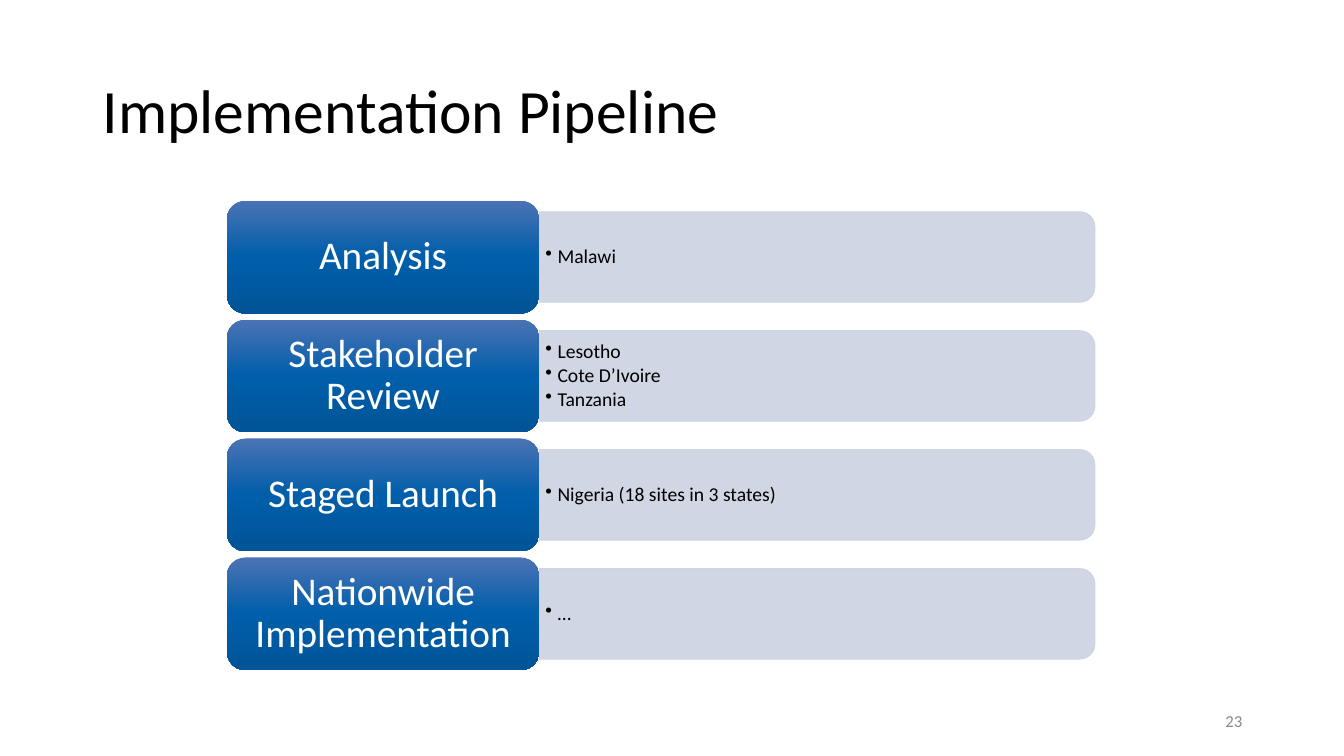
from copy import deepcopy
from dataclasses import dataclass

from lxml.etree import SubElement
from pptx import Presentation
from pptx.dml.color import RGBColor
from pptx.enum.shapes import MSO_SHAPE
from pptx.enum.text import MSO_ANCHOR, MSO_AUTO_SIZE, PP_ALIGN
from pptx.oxml.ns import qn
from pptx.util import Inches, Pt


@dataclass(frozen=True)
class Theme:
    font: str = "Calibri"
    ink: str = "000000"
    muted: str = "898989"
    label_ink: str = "FFFFFF"
    panel: str = "CCD2E2"
    panel_opacity: int = 90
    label_gradient: tuple = ((0, "4B73B4"), (0.5, "005EAA"), (1, "005497"))
    title_size: int = 44
    label_size: int = 28
    body_size: int = 14
    footer_size: int = 12


@dataclass(frozen=True)
class Box:
    left: float
    top: float
    width: float
    height: float

    def lengths(self):
        return [Inches(n) for n in (self.left, self.top, self.width, self.height)]


THEME = Theme()
STAGES = (
    ("Analysis", ("Malawi",)),
    ("Stakeholder Review", ("Lesotho", "Cote D’Ivoire", "Tanzania")),
    ("Staged Launch", ("Nigeria (18 sites in 3 states)",)),
    ("Nationwide Implementation", ("…",)),
)


def prepare_frame(frame, horizontal=0.1, vertical=0.05):
    frame.word_wrap = True
    frame.auto_size = MSO_AUTO_SIZE.NONE
    frame.vertical_anchor = MSO_ANCHOR.MIDDLE
    frame.margin_left = frame.margin_right = Inches(horizontal)
    frame.margin_top = frame.margin_bottom = Inches(vertical)


def write_lines(frame, lines, size, color, alignment=PP_ALIGN.LEFT, spacing=0.9, after=0):
    for index, line in enumerate(lines):
        paragraph = frame.add_paragraph() if index else frame.paragraphs[0]
        paragraph.alignment = alignment
        paragraph.line_spacing = spacing
        paragraph.space_after = Pt(after)
        run = paragraph.add_run()
        run.text = line
        run.font.name = THEME.font
        run.font.size = Pt(size)
        run.font.color.rgb = RGBColor.from_string(color)


def add_bullets(frame):
    for paragraph in frame.paragraphs:
        paragraph.level = 1
        properties = paragraph._p.get_or_add_pPr()
        properties.set("marL", str(Inches(0.12)))
        properties.set("indent", str(Inches(-0.12)))
        SubElement(properties, qn("a:buChar")).set("char", "•")


def fill_gradient(shape):
    fill = shape.fill
    fill.gradient()
    fill.gradient_angle = 270
    stop_list = shape._element.spPr.find(qn("a:gradFill")).find(qn("a:gsLst"))
    stop_list.insert(1, deepcopy(stop_list[0]))
    for stop, (position, color) in zip(fill.gradient_stops, THEME.label_gradient):
        stop.position = position
        stop.color.rgb = RGBColor.from_string(color)


def add_title(slide, box, text):
    title = slide.shapes.title
    title.left, title.top, title.width, title.height = box.lengths()
    prepare_frame(title.text_frame)
    write_lines(title.text_frame, [text], THEME.title_size, THEME.ink)


def add_page_number(slide, box, number):
    frame = slide.shapes.add_textbox(*box.lengths()).text_frame
    prepare_frame(frame)
    write_lines(frame, [number], THEME.footer_size, THEME.muted, PP_ALIGN.RIGHT, 1)


def add_panel(slide, box, lines):
    upright = Box(
        box.left + (box.width - box.height) / 2,
        box.top + (box.height - box.width) / 2,
        box.height,
        box.width,
    )
    panel = slide.shapes.add_shape(MSO_SHAPE.ROUND_2_SAME_RECTANGLE, *upright.lengths())
    panel.rotation = 90
    panel.shadow.inherit = False
    panel.line.width = Pt(0.5)
    panel.fill.solid()
    for paint in (panel.fill, panel.line.fill):
        paint.solid()
        paint.fore_color.rgb = RGBColor.from_string(THEME.panel)
    for color in panel._element.spPr.iter(qn("a:srgbClr")):
        SubElement(color, qn("a:alpha")).set("val", str(THEME.panel_opacity * 1000))

    inset = 0.04
    text_box = Box(box.left, box.top + inset, box.width - inset, box.height - 2 * inset)
    frame = slide.shapes.add_textbox(*text_box.lengths()).text_frame
    prepare_frame(frame, 0.06, 0.03)
    write_lines(frame, lines, THEME.body_size, THEME.ink, after=2)
    add_bullets(frame)


def add_label(slide, box, text):
    label = slide.shapes.add_shape(MSO_SHAPE.ROUNDED_RECTANGLE, *box.lengths())
    label.shadow.inherit = False
    label.line.fill.background()
    fill_gradient(label)
    prepare_frame(label.text_frame, 0.12, 0.06)
    write_lines(label.text_frame, [text], THEME.label_size, THEME.label_ink, PP_ALIGN.CENTER)


def add_pipeline(slide, box, stages):
    gap = 0.06
    label_width = 3.1
    panel_height = 0.9
    height = (box.height - gap * (len(stages) - 1)) / len(stages)
    for index, (name, places) in enumerate(stages):
        top = box.top + index * (height + gap)
        panel_box = Box(
            box.left + label_width,
            top + (height - panel_height) / 2,
            box.width - label_width,
            panel_height,
        )
        add_panel(slide, panel_box, places)
        add_label(slide, Box(box.left, top, label_width, height), name)


def main():
    presentation = Presentation()
    presentation.slide_width = Inches(13.33)
    presentation.slide_height = Inches(7.5)
    slide = presentation.slides.add_slide(presentation.slide_layouts[5])
    add_title(slide, Box(0.92, 0.4, 11.5, 1.45), "Implementation Pipeline")
    add_page_number(slide, Box(9.42, 6.95, 3, 0.4), "23")
    add_pipeline(slide, Box(2.25, 1.99, 8.61, 4.66), STAGES)
    presentation.save("out.pptx")


if __name__ == "__main__":
    main()
